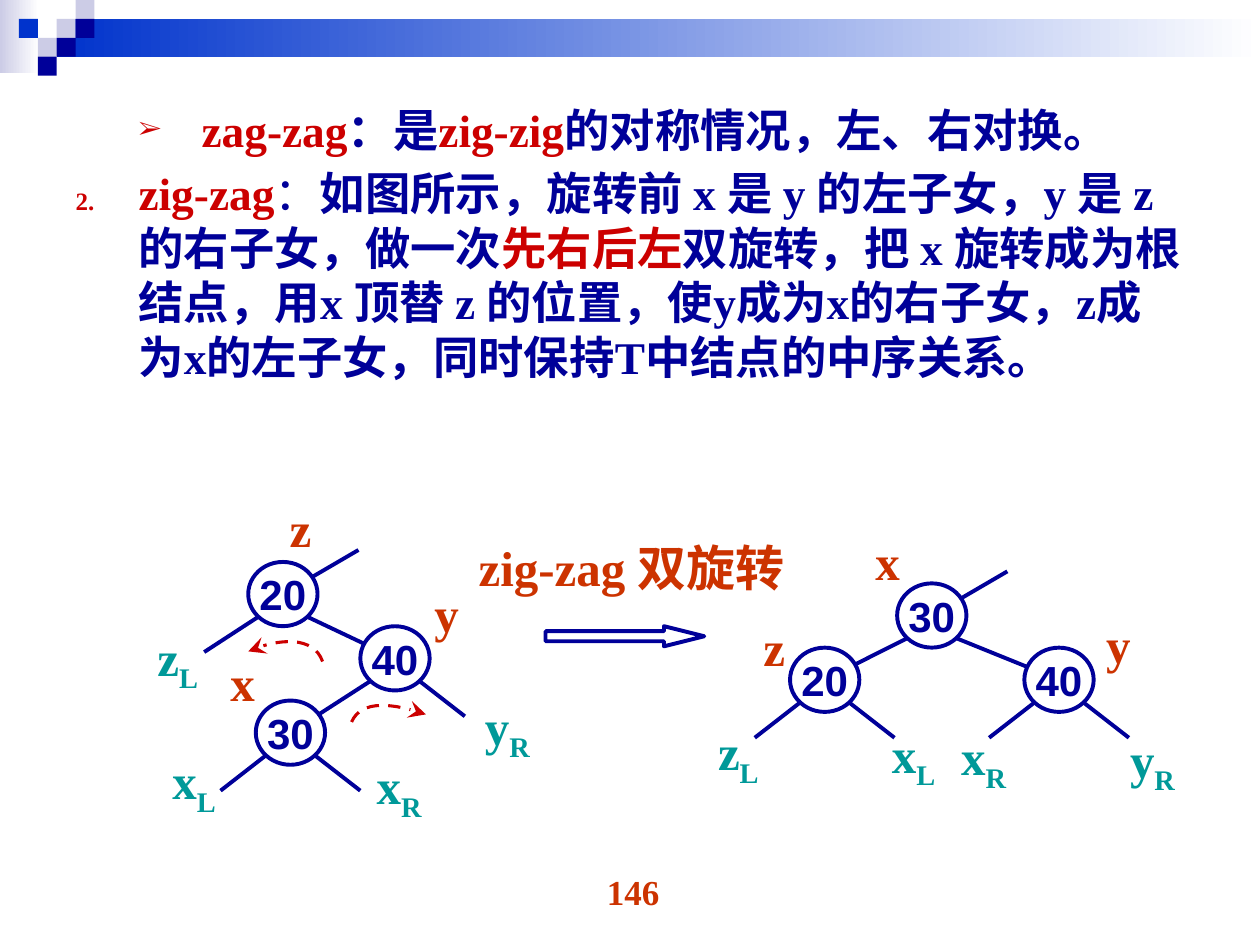
from dataclasses import dataclass

from lxml.etree import SubElement
from pptx import Presentation
from pptx.dml.color import RGBColor
from pptx.enum.dml import MSO_LINE as Dash
from pptx.enum.shapes import MSO_CONNECTOR as Link, MSO_SHAPE as Form
from pptx.enum.text import MSO_ANCHOR as Anchor, MSO_AUTO_SIZE as Fit, PP_ALIGN as Align
from pptx.oxml.ns import qn
from pptx.util import Inches, Pt


@dataclass(frozen=True)
class Theme:
    navy: str = "000099"
    blue: str = "0033CC"
    pale: str = "CCCCE6"
    white: str = "FFFFFF"
    red: str = "CC0000"
    rust: str = "CC3300"
    teal: str = "009999"
    serif: str = "Times New Roman"
    sans: str = "Arial"
    body: float = 25.9
    label: float = 28
    key: float = 24
    page: float = 20
    line: float = 2.25
    arc: float = 1.75


T = Theme()
NODE_W, NODE_H = 0.55, 0.51
DIAG = 0.5 ** 0.5 / 2  # share of a node's size from its centre to a diagonal point
DROP = 0.28            # fall of a line to a subtree
STUB = (0.6, -0.35)    # line from the root's centre up to its parent


def rgb(code):
    return RGBColor.from_string(code)


def add_run(para, text, size, color, font=T.serif, bold=True, base=None):
    run = para.add_run()
    run.text = text
    run.font.size, run.font.name, run.font.bold = Pt(size), font, bold
    run.font.color.rgb = rgb(color)
    if base is not None:
        run.font._element.set("baseline", str(base * 1000))


def add_text(slide, box, text, size=T.label, color=T.rust, sub="", align=Align.LEFT, wrap=False):
    frame = slide.shapes.add_textbox(*map(Inches, box)).text_frame
    frame.word_wrap = wrap
    para = frame.paragraphs[0]
    para.alignment = align
    add_run(para, text, size, color)
    if sub:
        add_run(para, sub, size, color, base=-25)


def add_form(slide, form, box, fill, line=None, fade=False):
    shape = slide.shapes.add_shape(form, *map(Inches, box))
    shape.shadow.inherit = False
    if fade:
        shape.fill.gradient()
        shape.fill.gradient_angle = 0
        for stop, color in zip(shape.fill.gradient_stops, (fill, T.white)):
            stop.color.rgb = rgb(color)
    else:
        shape.fill.solid()
        shape.fill.fore_color.rgb = rgb(fill)
    if line:
        shape.line.color.rgb = rgb(line)
        shape.line.width = Pt(T.line)
    else:
        shape.line.fill.background()
    return shape


def add_line(slide, start, end):
    line = slide.shapes.add_connector(Link.STRAIGHT, *map(Inches, (*start, *end)))
    line.line.color.rgb = rgb(T.navy)
    line.line.width = Pt(T.line)
    SubElement(line._element.spPr, qn("a:effectLst"))


def add_arc(slide, *knots, steps=16):
    """Draw a dashed cubic curve through four control points, with an arrowhead."""
    def spot(t):
        parts = ((1 - t) ** 3, 3 * t * (1 - t) ** 2, 3 * t * t * (1 - t), t ** 3)
        return tuple(Inches(sum(w * k[i] for w, k in zip(parts, knots))) for i in (0, 1))

    spots = [spot(n / steps) for n in range(steps + 1)]
    pen = slide.shapes.build_freeform(*spots[0])
    pen.add_line_segments(spots[1:], close=False)
    arc = pen.convert_to_shape()
    arc.shadow.inherit = False
    arc.fill.background()
    arc.line.color.rgb = rgb(T.red)
    arc.line.width = Pt(T.arc)
    arc.line.dash_style = Dash.DASH
    SubElement(arc.line._get_or_add_ln(), qn("a:tailEnd"), type="stealth", w="lg", len="lg")


def add_band(slide, box):
    left, top, width, height = box
    unit = 0.15
    add_form(slide, Form.RECTANGLE, (left, top, 0.31, height), T.pale, fade=True)
    add_form(slide, Form.RECTANGLE, (left + 3 * unit, top + unit, width - 3 * unit, 2 * unit),
             T.blue, fade=True)
    cells = ((3, 1, T.pale), (4, 0, T.pale), (4, 1, T.navy), (2, 2, T.pale),
             (1, 1, T.blue), (3, 2, T.navy), (2, 3, T.navy))
    for col, row, color in cells:
        add_form(slide, Form.RECTANGLE, (left + col * unit, top + row * unit, unit, unit), color)


def set_bullet(para, indent, tag, **kind):
    props = para._p.get_or_add_pPr()
    props.set("marL", str(Inches(indent)))
    props.set("indent", str(Inches(-0.5)))
    color = SubElement(props, qn("a:buClr"))
    SubElement(color, qn("a:srgbClr"), val=T.red)
    SubElement(props, qn("a:buSzPct"), val="55000")
    SubElement(props, qn("a:buFont"), typeface=T.serif)
    SubElement(props, qn(tag), **kind)


def add_body(slide, box):
    body = slide.placeholders[1]
    body.left, body.top, body.width, body.height = map(Inches, box)
    frame = body.text_frame
    frame.auto_size, frame.vertical_anchor = Fit.NONE, Anchor.TOP
    first, second = frame.paragraphs[0], frame.add_paragraph()
    first.level = 1
    set_bullet(first, 1, "a:buChar", char="➢")
    set_bullet(second, 0.5, "a:buAutoNum", type="arabicPeriod", startAt="2")
    first.space_before, second.space_before = Pt(0), Pt(5.2)
    for para in (first, second):
        para.line_spacing = 1.0
    for text, color in (("zag-zag", T.red), ("：是", T.navy), ("zig-zig", T.red),
                        ("的对称情况，左、右对换。", T.navy)):
        add_run(first, text, T.body, color)
    add_run(second, "zig-zag", T.body, T.red)
    add_run(second, "：", T.body, T.navy, font=T.sans, bold=False)
    for text, color in (
            ("如图所示，旋转前 x 是 y 的左子女，y 是 z 的右子女，做一次", T.navy),
            ("先右后左", T.red),
            ("双旋转，把 x 旋转成为根结点，用x 顶替 z 的位置，使y成为x的右子女，"
             "z成为x的左子女，同时保持T中结点的中序关系。", T.navy)):
        add_run(second, text, T.body, color)


def add_tree(slide, box, root, nodes, labels):
    """nodes: key -> (x, y, left leg, right leg); a leg is a child's key or a line's run."""
    left, top = box
    mids = {key: (left + x + NODE_W / 2, top + y + NODE_H / 2)
            for key, (x, y, *_) in nodes.items()}
    x, y = mids[root]
    add_line(slide, (x, y), (x + STUB[0], y + STUB[1]))
    for key, (_, _, *legs) in nodes.items():
        x, y = mids[key]
        for side, leg in zip((-1, 1), legs):
            start = (x + side * DIAG * NODE_W, y + DIAG * NODE_H)
            end = mids[leg] if leg in mids else (start[0] + side * leg, start[1] + DROP)
            add_line(slide, start, end)
    for key, (x, y, *_) in nodes.items():
        node = add_form(slide, Form.OVAL, (left + x, top + y, NODE_W, NODE_H), T.white, T.navy)
        frame = node.text_frame
        frame.margin_left = frame.margin_right = frame.margin_top = frame.margin_bottom = 0
        frame.word_wrap, frame.vertical_anchor = False, Anchor.MIDDLE
        frame.paragraphs[0].alignment = Align.CENTER
        add_run(frame.paragraphs[0], key, T.key, T.navy, font=T.sans)
    for name, x, y in labels:
        text, sub = name[0], name[1:]
        size = (0.65, 0.63) if sub else (0.4, 0.57)
        add_text(slide, (left + x, top + y, *size), text, sub=sub, wrap=True,
                 color=T.teal if sub else T.rust)


def main():
    deck = Presentation()
    deck.slide_width, deck.slide_height = Inches(10), Inches(7.5)
    slide = deck.slides.add_slide(deck.slide_layouts[1])
    title = slide.shapes.title._element
    title.getparent().remove(title)

    add_band(slide, (0, 0, 10, 0.58))
    add_body(slide, (0.5, 0.76, 9, 3.27))
    add_tree(slide, (1.15, 3.91), "20",
             {"20": (0.82, 0.55, 0.43, "40"), "40": (1.71, 1.06, "30", 0.36),
              "30": (0.88, 1.65, 0.36, 0.36)},
             (("z", 1.05, 0), ("y", 2.2, 0.67), ("x", 0.58, 1.22), ("zL", 0, 1.02),
              ("xL", 0.12, 2), ("yR", 2.6, 1.57), ("xR", 1.74, 2.04)))
    add_arc(slide, (2.56, 5.25), (2.49, 5.05), (2.22, 5.06), (1.97, 5.17))
    add_arc(slide, (2.79, 5.73), (2.87, 5.55), (3.12, 5.58), (3.38, 5.67))
    add_tree(slide, (5.6, 4.3), "30",
             {"30": (1.52, 0.33, "20", "40"), "20": (0.67, 0.84, 0.36, 0.36),
              "40": (2.53, 0.84, 0.36, 0.36)},
             (("x", 1.25, -0.13), ("y", 3.08, 0.53), ("z", 0.36, 0.55), ("zL", 0, 1.38),
              ("xL", 1.38, 1.4), ("xR", 1.93, 1.42), ("yR", 3.27, 1.44)))
    arrow = add_form(slide, Form.RIGHT_ARROW, (4.33, 4.97, 1.26, 0.16), T.white, T.navy)
    arrow.adjustments[1] = 2
    add_text(slide, (3.7, 4.22, 2.72, 0.57), "zig-zag 双旋转")
    add_text(slide, (3.86, 6.86, 2.33, 0.52), "146", size=T.page, align=Align.CENTER, wrap=True)
    deck.save("out.pptx")


if __name__ == "__main__":
    main()
